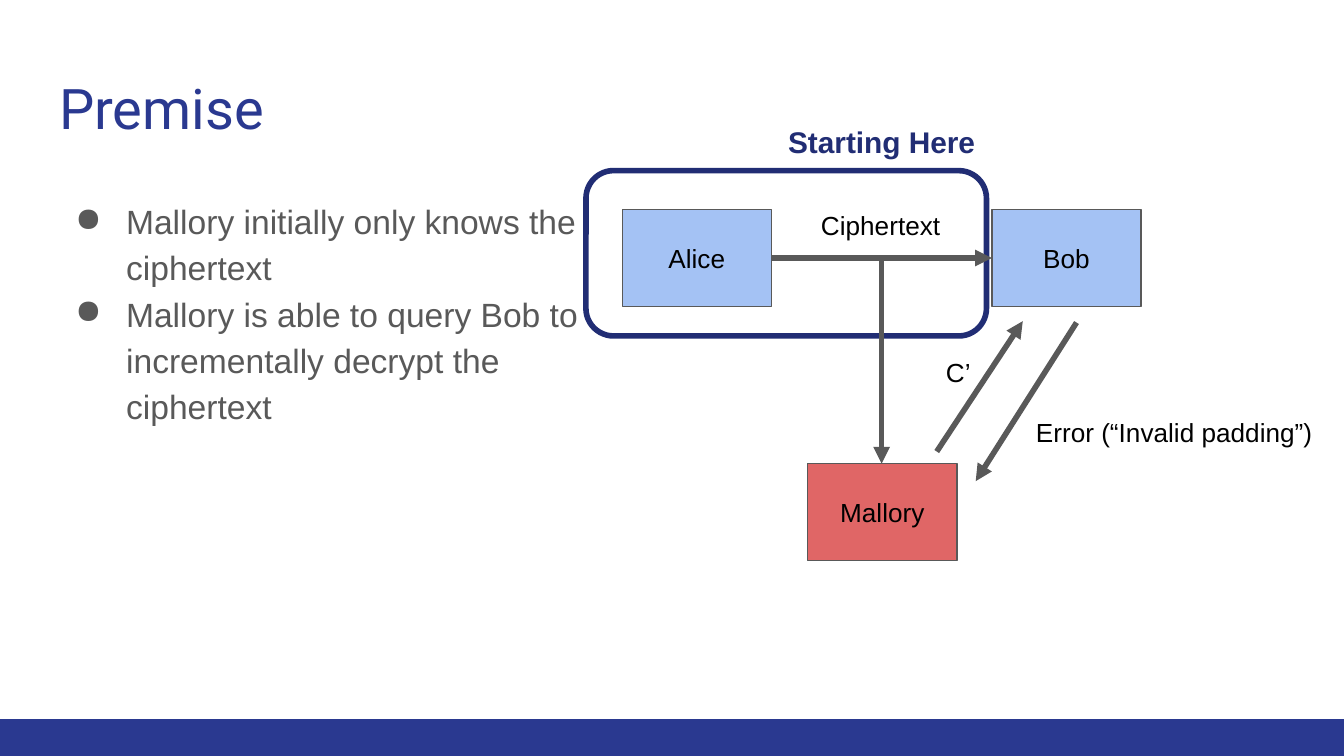
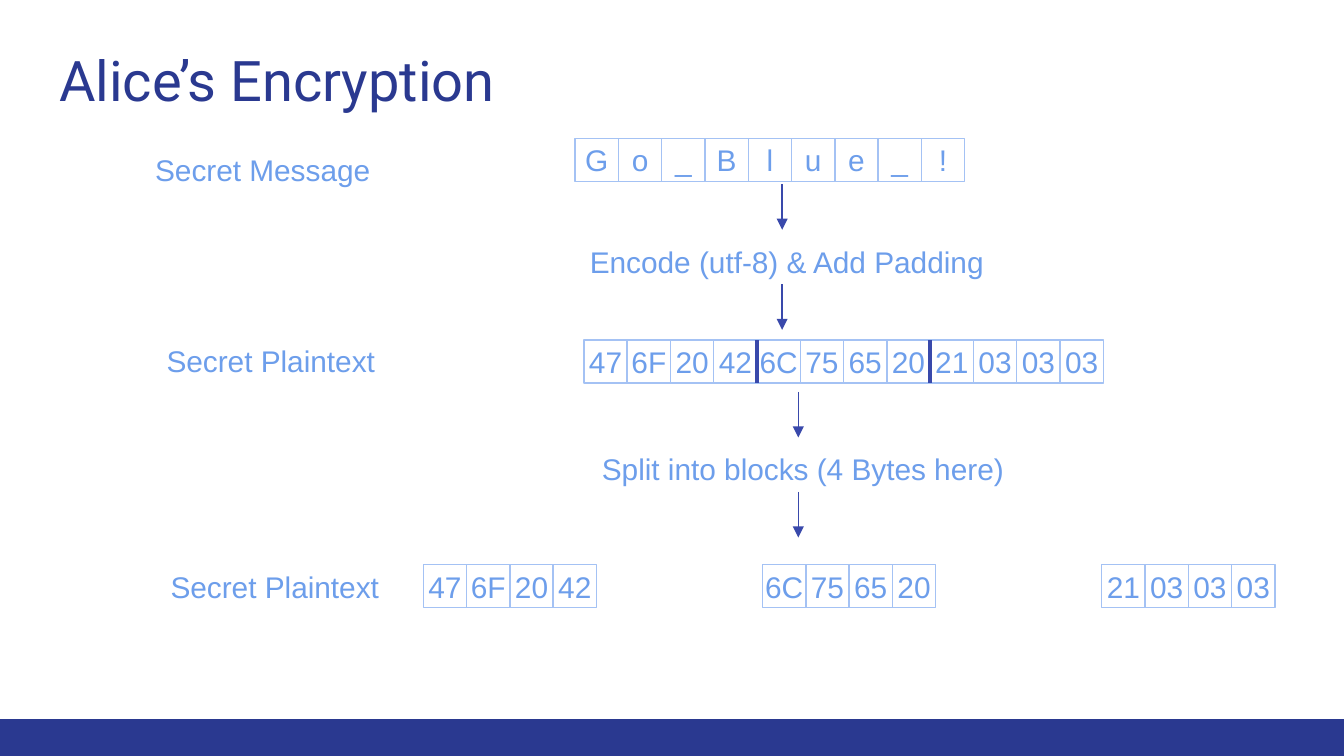
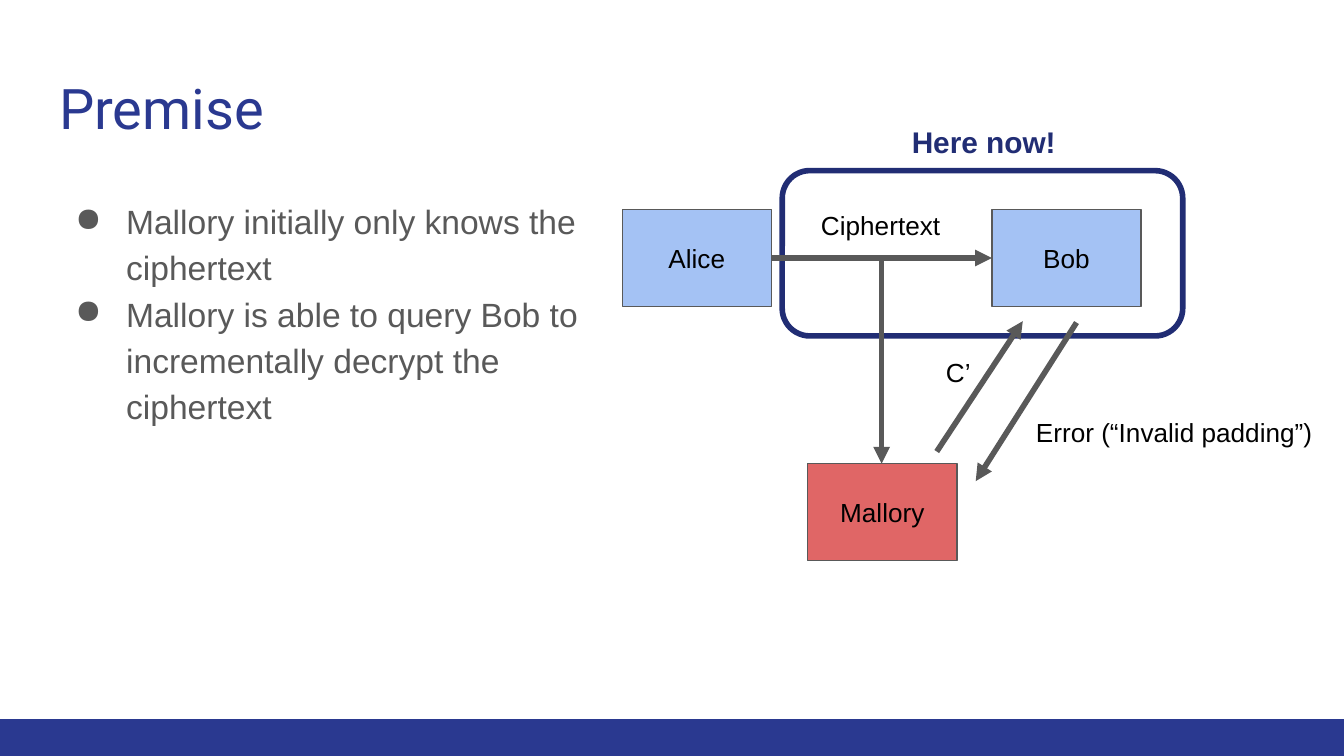
import lxml.etree
import pptx
import pptx.dml.color
import pptx.enum.shapes
import pptx.enum.text
import pptx.oxml.ns
import pptx.util

COLORS = {
    "navy": "2A3990",
    "frame": "212D74",
    "indigo": "3949AB",
    "sky": "A4C2F4",
    "blue": "6D9EEB",
    "red": "E06666",
    "gray": "595959",
    "black": "000000",
}
WIDTH, HEIGHT = pptx.util.Inches(10), pptx.util.Inches(5.625)
COLUMNS, ROWS = 100, 56.25
CELL = 3.22
BLOCK = 4
BLOCK_STEP = 25.24
PARTY = (11.1, 7.2)
PLAINTEXT = "47 6F 20 42 6C 75 65 20 21 03 03 03".split()
PREMISES = [
    "Mallory initially only knows the ciphertext",
    "Mallory is able to query Bob to incrementally decrypt the ciphertext",
]
SHAPES = pptx.enum.shapes.MSO_SHAPE
ALIGN = pptx.enum.text.PP_ALIGN
ANCHOR = pptx.enum.text.MSO_ANCHOR
qn = pptx.oxml.ns.qn


def rgb(name):
    """Return a named colour."""
    return pptx.dml.color.RGBColor.from_string(COLORS[name])


def grid(*lengths):
    """Turn alternating columns and rows into slide lengths."""
    units = (WIDTH / COLUMNS, HEIGHT / ROWS)
    return [round(length * units[i % 2]) for i, length in enumerate(lengths)]


def write(shape, lines, size, color, align=ALIGN.LEFT, anchor=ANCHOR.TOP,
          margin=0.1, font="Arial", bold=False, spacing=1.0):
    """Fill a shape with evenly formatted paragraphs."""
    frame = shape.text_frame
    frame.word_wrap = True
    frame.auto_size = pptx.enum.text.MSO_AUTO_SIZE.NONE
    frame.vertical_anchor = anchor
    frame.margin_left = frame.margin_right = pptx.util.Inches(margin)
    frame.margin_top = frame.margin_bottom = pptx.util.Inches(margin)
    frame.text = "\n".join(lines)
    for paragraph in frame.paragraphs:
        paragraph.alignment = align
        paragraph.line_spacing = spacing
        paragraph.font.name = font
        paragraph.font.size = pptx.util.Pt(size)
        paragraph.font.bold = bold
        paragraph.font.color.rgb = rgb(color)


def add_box(slide, at, fill=None, line=None, weight=0.75, kind=SHAPES.RECTANGLE):
    """Add a flat shape with an optional fill and outline."""
    box = slide.shapes.add_shape(kind, *grid(*at))
    box.shadow.inherit = False
    if fill:
        box.fill.solid()
        box.fill.fore_color.rgb = rgb(fill)
    else:
        box.fill.background()
    if line:
        box.line.color.rgb = rgb(line)
        box.line.width = pptx.util.Pt(weight)
    else:
        box.line.fill.background()
    return box


def add_label(slide, at, text, size, color, **style):
    """Add a line of free text."""
    write(slide.shapes.add_textbox(*grid(*at)), [text], size, color, **style)


def add_line(slide, ends, color, weight, arrow=True):
    """Draw a straight line, with an arrowhead at its end if wanted."""
    line = slide.shapes.add_connector(
        pptx.enum.shapes.MSO_CONNECTOR.STRAIGHT, *grid(*ends))
    line.line.color.rgb = rgb(color)
    line.line.width = pptx.util.Pt(weight)
    properties = line.element.spPr
    if arrow:
        lxml.etree.SubElement(properties.find(qn("a:ln")), qn("a:tailEnd"), type="triangle")
    lxml.etree.SubElement(properties, qn("a:effectLst"))


def add_bullets(slide, at, lines):
    """Add a bulleted list with hanging indents."""
    bullets = slide.shapes.add_textbox(*grid(*at))
    write(bullets, lines, 18, "gray", spacing=1.15)
    for properties in bullets.element.iter(qn("a:pPr")):
        properties.set("marL", str(pptx.util.Inches(0.5)))
        properties.set("indent", str(pptx.util.Inches(-0.38)))
        tint = lxml.etree.Element(qn("a:buClr"))
        lxml.etree.SubElement(tint, qn("a:srgbClr"), val=COLORS["gray"])
        mark = lxml.etree.Element(qn("a:buChar"), char="●")
        for part in (tint, mark):
            properties.find(qn("a:defRPr")).addprevious(part)


def add_cells(slide, left, top, values):
    """Draw one bordered square for each value of a row."""
    for i, value in enumerate(values):
        cell = add_box(slide, (left + i * CELL, top, CELL, CELL), line="sky")
        write(cell, [value], 16, "blue", ALIGN.CENTER, ANCHOR.MIDDLE, margin=0)


def add_titled_slide(deck, title, top):
    """Start a slide with its formatted title."""
    slide = deck.slides.add_slide(deck.slide_layouts[5])
    heading = slide.shapes.title
    heading.left, heading.top, heading.width, heading.height = grid(3.4, top, 93.2, 6.6)
    write(heading, [title], 30, "navy", font="Roboto")
    return slide


def add_band(deck, slide):
    """Put the footer band on the slide master."""
    band = add_box(slide, (0, 53.5, COLUMNS, ROWS - 53.5), fill="navy")
    deck.slide_master.element.cSld.spTree.insert(2, band.element)


def add_premise(deck, stage, stage_left, frame_left):
    """Show the attack setup with the current stage framed."""
    slide = add_titled_slide(deck, "Premise", 4.5)
    add_box(slide, (frame_left, 12.7, 29.8, 12.3), line="frame", weight=3,
            kind=SHAPES.ROUNDED_RECTANGLE)
    parties = [("Alice", 46.3, 15.6, "sky"), ("Bob", 73.8, 15.6, "sky"),
               ("Mallory", 60.1, 34.5, "red")]
    for name, left, top, fill in parties:
        party = add_box(slide, (left, top, *PARTY), fill=fill, line="gray")
        write(party, [name], 14, "black", ALIGN.CENTER, ANCHOR.MIDDLE)
    messages = [(57.4, 19.2, 73.8, 19.2), (65.6, 19.1, 65.6, 34.5),
                (80.1, 24, 72.6, 35.8), (69.7, 33.6, 76.1, 23.9)]
    for ends in messages:
        add_line(slide, ends, "gray", 3)
    captions = [("Ciphertext", (60.1, 14.6, 11.1, 4.5)),
                ("C’", (69.4, 25.5, 4.1, 4.5)),
                ("Error (“Invalid padding”)", (76.1, 30, 22.6, 4.2))]
    for text, at in captions:
        add_label(slide, at, text, 14, "black")
    add_label(slide, (stage_left, 8.2, 18.4, 4.5), stage, 16, "frame",
              align=ALIGN.CENTER, bold=True)
    add_bullets(slide, (3.4, 13.5, 42.5, 36.5), PREMISES)
    return slide


def add_encryption(deck):
    """Show how a message becomes padded blocks."""
    slide = add_titled_slide(deck, "Alice’s Encryption", 2.4)
    plain_left, plain_top = 43.45, 25.3
    add_cells(slide, 42.8, 10.3, "Go_Blue_!")
    add_cells(slide, plain_left, plain_top, PLAINTEXT)
    for start in range(0, len(PLAINTEXT), BLOCK):
        add_cells(slide, 31.5 + start // BLOCK * BLOCK_STEP, 42,
                  PLAINTEXT[start:start + BLOCK])
        if start:
            border = plain_left + start * CELL
            add_line(slide, (border, plain_top, border, plain_top + CELL),
                     "indigo", 2.25, arrow=False)
    labels = [("Secret Message", 9.1, 10.3, 20.9),
              ("Secret Plaintext", 9.7, 24.5, 20.9),
              ("Secret Plaintext", 10, 41.3, 20.9),
              ("Encode (utf-8) & Add Padding", 38.6, 17.1, 39.9),
              ("Split into blocks (4 Bytes here)", 39.8, 32.5, 39.9)]
    for text, left, top, width in labels:
        add_label(slide, (left, top, width, 4.7), text, 16, "blue", align=ALIGN.CENTER)
    for x, top in [(58.2, 13.7), (58.2, 21.15), (59.4, 29.15), (59.4, 36.6)]:
        add_line(slide, (x, top, x, top + 3.4), "indigo", 0.75)


def main():
    """Build the deck."""
    deck = pptx.Presentation()
    deck.slide_width, deck.slide_height = WIDTH, HEIGHT
    opening = add_premise(deck, "Starting Here", 56.4, 43.6)
    add_band(deck, opening)
    add_encryption(deck)
    add_premise(deck, "Here now!", 64, 58.2)
    deck.save("out.pptx")


if __name__ == "__main__":
    main()
